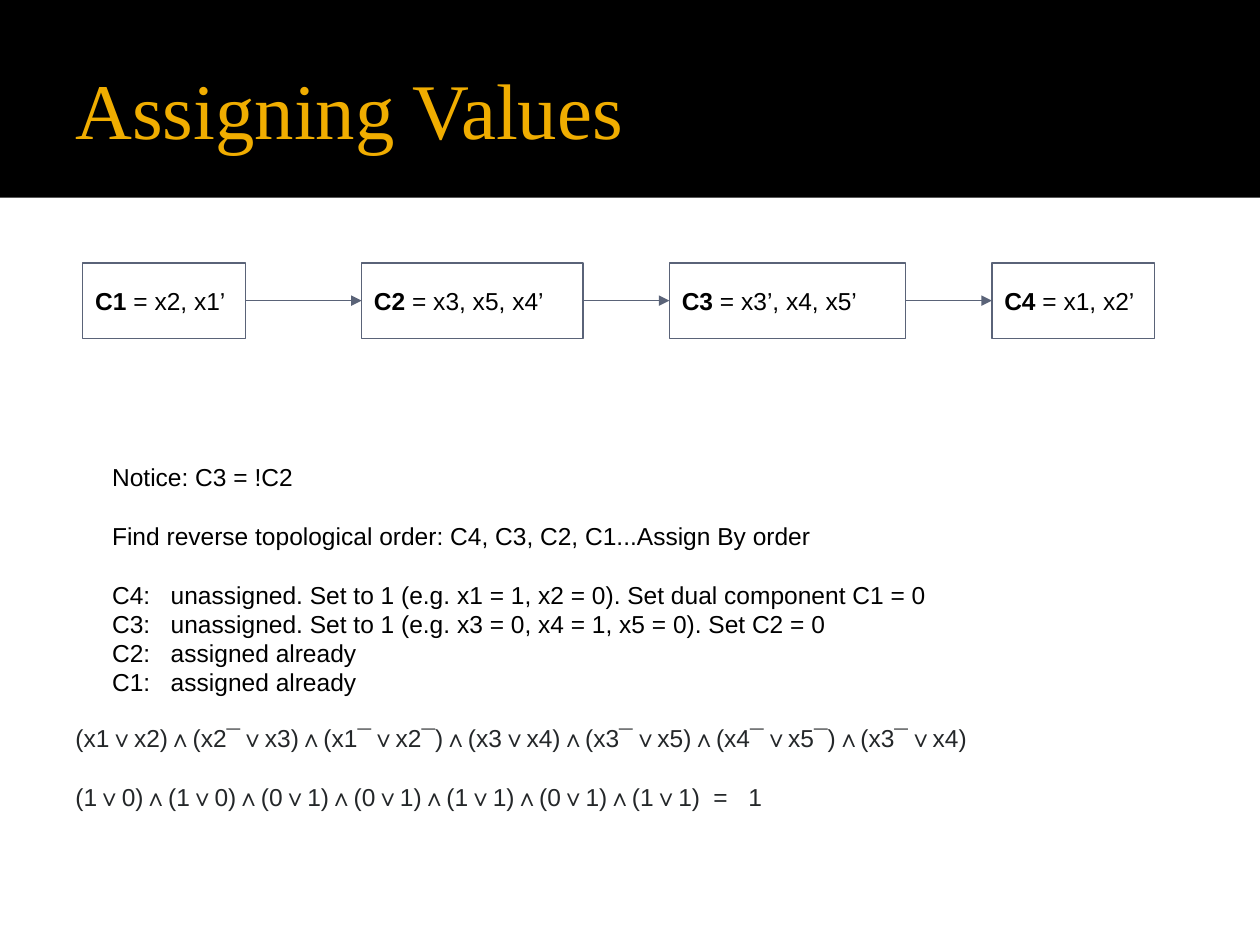
from itertools import pairwise

from lxml import etree
from pptx import Presentation
from pptx.dml.color import RGBColor
from pptx.enum.shapes import MSO_CONNECTOR, MSO_SHAPE
from pptx.enum.text import MSO_ANCHOR, PP_ALIGN
from pptx.oxml.ns import qn
from pptx.util import Pt

RECTANGLE = MSO_SHAPE.RECTANGLE
STRAIGHT = MSO_CONNECTOR.STRAIGHT
TOP, MIDDLE = MSO_ANCHOR.TOP, MSO_ANCHOR.MIDDLE
LEFT = PP_ALIGN.LEFT
RIGHT_SITE, LEFT_SITE = 3, 1
LINE_PITCH = 16.75


def color(hex_code):
    return RGBColor.from_string(hex_code)


def add_text(paragraph, text, font="Arial", size=14, ink="000000", bold=False):
    run = paragraph.add_run()
    run.text = text
    run.font.name = font
    run.font.size = Pt(size)
    run.font.bold = bold
    run.font.color.rgb = color(ink)


class SlideBuilder:
    line_color = "5A6378"
    line_width = 0.75
    inset = 7.2

    def __init__(self, slide):
        self.slide = slide

    def frame(self, shape, anchor):
        frame = shape.text_frame
        frame.word_wrap = True
        frame.vertical_anchor = anchor
        frame.margin_left = frame.margin_right = Pt(self.inset)
        frame.margin_top = frame.margin_bottom = Pt(self.inset)
        frame.paragraphs[0].alignment = LEFT
        return frame

    def rectangle(self, left, top, width, height):
        shape = self.slide.shapes.add_shape(
            RECTANGLE, Pt(left), Pt(top), Pt(width), Pt(height))
        shape.shadow.inherit = False
        return shape

    def band(self, height, fill):
        band = self.rectangle(0, 0, 720, height)
        band.fill.solid()
        band.fill.fore_color.rgb = color(fill)
        band.line.fill.background()

    def component(self, left, top, width, height, name, literals):
        box = self.rectangle(left, top, width, height)
        box.fill.background()
        box.line.color.rgb = color(self.line_color)
        box.line.width = Pt(self.line_width)
        paragraph = self.frame(box, MIDDLE).paragraphs[0]
        add_text(paragraph, name, bold=True)
        add_text(paragraph, f" = {literals}")
        return box

    def arrow(self, source, target):
        arrow = self.slide.shapes.add_connector(STRAIGHT, 0, 0, 0, 0)
        arrow.begin_connect(source, RIGHT_SITE)
        arrow.end_connect(target, LEFT_SITE)
        arrow.line.color.rgb = color(self.line_color)
        arrow.line.width = Pt(self.line_width)
        line = arrow.line._get_or_add_ln()
        etree.SubElement(line, qn("a:tailEnd"), type="triangle")
        etree.SubElement(arrow._element.spPr, qn("a:effectLst"))

    def text_box(self, left, top, width, height, anchor=TOP):
        box = self.slide.shapes.add_textbox(
            Pt(left), Pt(top), Pt(width), Pt(height))
        return self.frame(box, anchor)

    def title(self, text):
        frame = self.text_box(36, 12.25, 648, 98.5, MIDDLE)
        frame.margin_top = frame.margin_bottom = Pt(3.6)
        add_text(frame.paragraphs[0], text, font="Times New Roman",
                 size=45, ink="F0AD00")

    def lines(self, box, entries, tabs, ink="000000"):
        frame = self.text_box(*box)
        for index, (text, gap) in enumerate(entries):
            paragraph = frame.add_paragraph() if index else frame.paragraphs[0]
            paragraph.line_spacing = Pt(LINE_PITCH)
            paragraph.space_before = Pt(gap)
            add_text(paragraph, text, ink=ink)
            stops = etree.SubElement(
                paragraph._p.get_or_add_pPr(), qn("a:tabLst"))
            for position in tabs:
                etree.SubElement(stops, qn("a:tab"),
                                 pos=str(Pt(position)), algn="l")


COMPONENTS = [
    (47.3, 93, "C1", "x2, x1’"),
    (206.6, 126.5, "C2", "x3, x5, x4’"),
    (382.5, 135, "C3", "x3’, x4, x5’"),
    (566.8, 93, "C4", "x1, x2’"),
]
ASSIGNMENT_STEPS = [
    ("Notice: C3 = !C2", 0),
    ("Find reverse topological order: C4, C3, C2, C1...Assign By order",
     LINE_PITCH),
    ("C4:\tunassigned. Set to 1 (e.g. x1 = 1, x2 = 0). "
     "Set dual component C1 = 0", LINE_PITCH),
    ("C3:\tunassigned. Set to 1 (e.g. x3 = 0, x4 = 1, x5 = 0). Set C2 = 0", 0),
    ("C2:\tassigned already", 0),
    ("C1:\tassigned already", 0),
]
FORMULA = [
    ("(x1∨x2)∧(x2¯∨x3)∧(x1¯∨x2¯)∧(x3∨x4)∧(x3¯∨x5)∧(x4¯∨x5¯)∧(x3¯∨x4)", 0),
    ("(1∨0)∧(1∨0)∧(0∨1)∧(0∨1)∧(1∨1)∧(0∨1)∧(1∨1)\t=\t1", LINE_PITCH),
]


def main():
    deck = Presentation()
    deck.slide_width, deck.slide_height = Pt(720), Pt(540)
    builder = SlideBuilder(deck.slides.add_slide(deck.slide_layouts[6]))
    builder.band(113, "000000")
    builder.title("Assigning Values")
    boxes = [builder.component(left, 150.3, width, 43, name, literals)
             for left, width, name, literals in COMPONENTS]
    for source, target in pairwise(boxes):
        builder.arrow(source, target)
    builder.lines((57, 257, 499, 140.5), ASSIGNMENT_STEPS, [33.5])
    builder.lines((36, 406, 616.5, 70.5), FORMULA, [364.5, 384.5],
                  ink="242729")
    deck.save("out.pptx")


if __name__ == "__main__":
    main()
